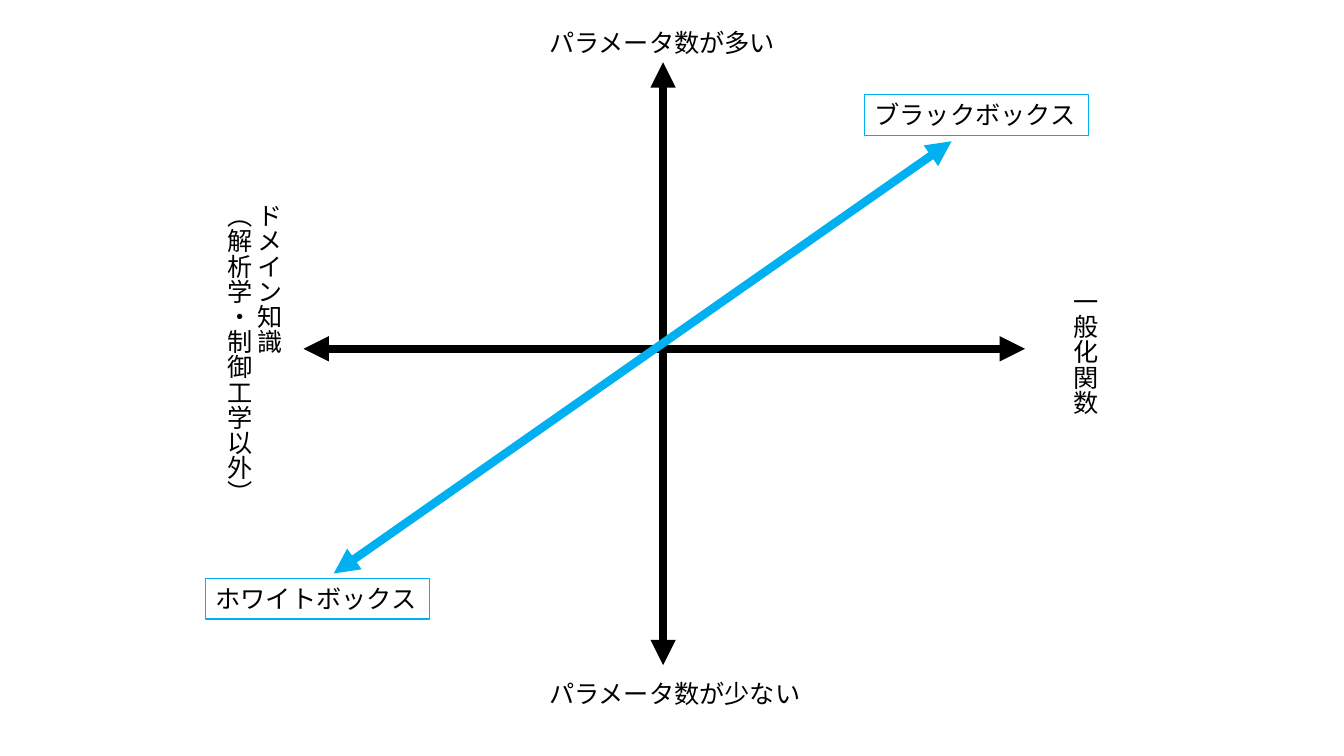
from pptx import Presentation
from pptx.dml.color import RGBColor
from pptx.enum.shapes import MSO_CONNECTOR as CONN, MSO_SHAPE as SHAPE
from pptx.enum.text import MSO_AUTO_SIZE as AUTO
from pptx.oxml.ns import qn
from pptx.util import Cm, Pt
from lxml.etree import SubElement

BLACK = RGBColor(0x00, 0x00, 0x00)
WHITE = RGBColor(0xFF, 0xFF, 0xFF)
BLUE = RGBColor(0x00, 0xB0, 0xF0)


class Diagram:
    font = "Noto Sans CJK JP"
    size = Pt(18)
    arrow_width = Pt(6)

    def __init__(self, s):
        self.shapes = s.shapes.add_group_shape().shapes

    def panel(self, x, y, w, h):
        sp = self.shapes.add_shape(SHAPE.RECTANGLE, Cm(x), Cm(y), Cm(w), Cm(h))
        sp.shadow.inherit = False
        sp.fill.solid()
        sp.fill.fore_color.rgb = WHITE
        sp.line.color.rgb = WHITE
        sp.line.width = Pt(1)

    def arrow(self, x1, y1, x2, y2, color=BLACK):
        c = self.shapes.add_connector(CONN.STRAIGHT, Cm(x1), Cm(y1), Cm(x2), Cm(y2))
        c.line.color.rgb = color
        c.line.width = self.arrow_width
        ln = c.line._get_or_add_ln()
        for end in ("a:headEnd", "a:tailEnd"):
            SubElement(ln, qn(end), type="triangle")
        SubElement(c._element.spPr, qn("a:effectLst"))

    def label(self, text, x, y, w, h=1.02, vertical=False):
        sp = self.shapes.add_textbox(Cm(x), Cm(y), Cm(w), Cm(h))
        tf = sp.text_frame
        tf.text = text
        tf.word_wrap = False
        tf.auto_size = AUTO.SHAPE_TO_FIT_TEXT
        if vertical:
            tf._txBody.bodyPr.set("vert", "eaVert")
        for p in tf.paragraphs:
            for r in p.runs:
                r.font.size = self.size
                r.font.name = self.font
                r.font.color.rgb = BLACK
                SubElement(r.font._element, qn("a:ea"), typeface=self.font)
        return sp

    def box(self, text, x, y):
        sp = self.label(text, x, y, 5.64)
        sp.line.color.rgb = BLUE
        sp.line.width = Pt(0.75)


prs = Presentation()
prs.slide_width, prs.slide_height = Cm(33.87), Cm(19.05)
s = prs.slides.add_slide(prs.slide_layouts[6])
d = Diagram(s)

d.panel(4.98, 0.2, 23.47, 17.93)
d.arrow(7.65, 8.79, 25.83, 8.79)
d.arrow(16.71, 1.57, 16.71, 16.76)
d.label("ドメイン知識\n（解析学・制御工学以外）", 5.23, 4.88, 2.06, 7.95, vertical=True)
d.label("一般化関数", 26.59, 7.04, 1.27, 3.45, vertical=True)
d.label("パラメータ数が多い", 13.59, 0.56, 6.27)
d.label("パラメータ数が少ない", 13.59, 16.97, 6.93)
d.arrow(8.41, 14.45, 23.98, 3.56, BLUE)
d.box("ブラックボックス", 21.79, 2.39)
d.box("ホワイトボックス", 5.18, 14.58)

prs.save("out.pptx")
